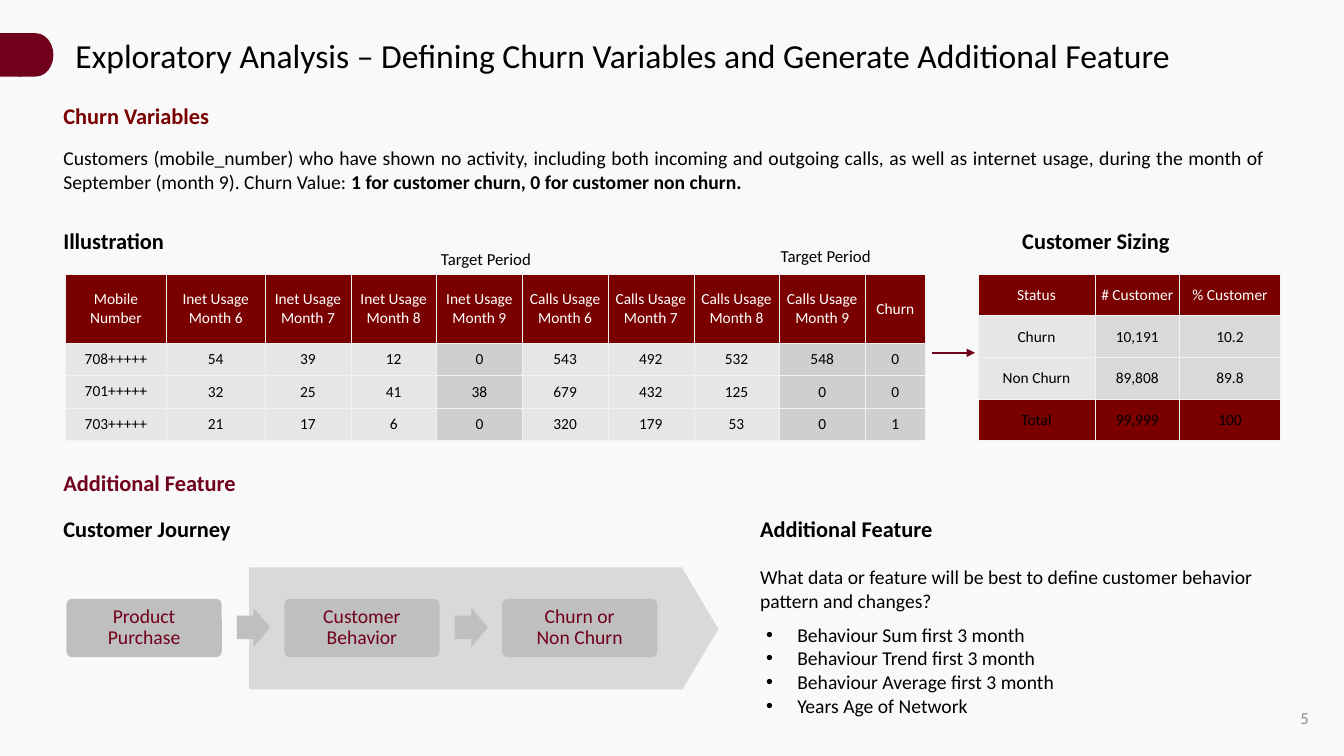
"""Build the churn variables and additional feature slide."""
from dataclasses import dataclass

from lxml import etree
from pptx import Presentation
from pptx.dml.color import RGBColor
from pptx.enum.shapes import MSO_CONNECTOR, MSO_SHAPE
from pptx.enum.text import MSO_ANCHOR, PP_ALIGN
from pptx.oxml import parse_xml
from pptx.oxml.ns import nsdecls, qn
from pptx.util import Inches, Pt

LEFT, CENTER, RIGHT, JUSTIFY = PP_ALIGN.LEFT, PP_ALIGN.CENTER, PP_ALIGN.RIGHT, PP_ALIGN.JUSTIFY
MIDDLE = MSO_ANCHOR.MIDDLE
RECTANGLE, ROUNDED, TRIANGLE = MSO_SHAPE.RECTANGLE, MSO_SHAPE.ROUNDED_RECTANGLE, MSO_SHAPE.ISOSCELES_TRIANGLE
DELAY, ARROW = MSO_SHAPE.FLOWCHART_DELAY, MSO_SHAPE.RIGHT_ARROW


@dataclass(frozen=True)
class Theme:
    font: str = "Calibri"
    background: str = "F9F9F9"
    black: str = "000000"
    white: str = "FFFFFF"
    maroon: str = "7A0000"
    wine: str = "71001C"
    cell: str = "E7E6E6"
    target: str = "D0CECE"
    panel: str = "D9D9D9"
    step: str = "BFBFBF"
    border: str = "F2F2F2"
    number: str = "8C8C8C"
    title_size: int = 24
    heading_size: int = 16
    body_size: int = 14
    label_size: int = 12
    table_size: int = 11


theme = Theme()
presentation = Presentation()
presentation.slide_width = Inches(13.33)
presentation.slide_height = Inches(7.5)
slide = presentation.slides.add_slide(presentation.slide_layouts[6])
slide.background.fill.solid()
slide.background.fill.fore_color.rgb = RGBColor.from_string(theme.background)


def write(text_frame, lines, size, color, align=LEFT, bold=False):
    """Fill a text frame with one paragraph for each line."""
    text_frame.word_wrap = True
    for index, line in enumerate(lines):
        paragraph = text_frame.add_paragraph() if index else text_frame.paragraphs[0]
        paragraph.text = line
        paragraph.alignment = align
        for run in paragraph.runs:
            run.font.name = theme.font
            run.font.size = Pt(size)
            run.font.bold = bold
            run.font.color.rgb = RGBColor.from_string(color)


def add_block(kind, box, color):
    """Add a plain filled shape."""
    shape = slide.shapes.add_shape(kind, *map(Inches, box))
    shape.shadow.inherit = False
    shape.fill.solid()
    shape.fill.fore_color.rgb = RGBColor.from_string(color)
    shape.line.fill.background()
    return shape


add_block(DELAY, (0.18, 0.33, 0.35, 0.43), theme.wine)
add_block(RECTANGLE, (0, 0.33, 0.21, 0.43), theme.wine)

headings = [
    ("Churn Variables", 0.53, 0.96, 3.44, theme.maroon),
    ("Illustration", 0.53, 2.2, 3.44, theme.black),
    ("Customer Sizing", 10.04, 2.2, 2.61, theme.black),
    ("Additional Feature", 0.53, 4.61, 3.44, theme.wine),
    ("Customer Journey", 0.53, 5.06, 3.44, theme.black),
    ("Additional Feature", 7.44, 5.06, 3.44, theme.black),
]
for text, left, top, width, color in headings:
    heading = slide.shapes.add_textbox(Inches(left), Inches(top), Inches(width), Inches(0.37))
    write(heading.text_frame, [text], theme.heading_size, color, bold=True)

texts = [
    ("Exploratory Analysis – Defining Churn Variables and Generate Additional Feature",
     (0.65, 0.3, 12.1, 0.5), theme.title_size, LEFT),
    ("What data or feature will be best to define customer behavior pattern and changes?",
     (7.44, 5.56, 5.33, 0.57), theme.body_size, LEFT),
    ("Target Period", (4.24, 2.42, 1.16, 0.3), theme.label_size, CENTER),
    ("Target Period", (7.61, 2.39, 1.16, 0.3), theme.label_size, CENTER),
]
for text, box, size, align in texts:
    text_box = slide.shapes.add_textbox(*map(Inches, box))
    write(text_box.text_frame, [text], size, theme.black, align)

definition = slide.shapes.add_textbox(Inches(0.53), Inches(1.4), Inches(12.12), Inches(0.57))
write(definition.text_frame, [
    "Customers (mobile_number) who have shown no activity, including both incoming and outgoing calls, "
    "as well as internet usage, during the month of September (month 9). Churn Value: "
], theme.body_size, theme.black, JUSTIFY)
churn_values = definition.text_frame.paragraphs[0].add_run()
churn_values.text = "1 for customer churn, 0 for customer non churn."
churn_values.font.name = theme.font
churn_values.font.size = Pt(theme.body_size)
churn_values.font.bold = True
churn_values.font.color.rgb = RGBColor.from_string(theme.black)

usage_rows = [
    ["Mobile Number"]
    + [f"{source} Usage\nMonth {month}" for source in ("Inet", "Calls") for month in range(6, 10)]
    + ["Churn"],
    ["708+++++", "54", "39", "12", "0", "543", "492", "532", "548", "0"],
    ["701+++++", "32", "25", "41", "38", "679", "432", "125", "0", "0"],
    ["703+++++", "21", "17", "6", "0", "320", "179", "53", "0", "1"],
]
sizing_rows = [
    ["Status", "# Customer", "% Customer"],
    ["Churn", "10,191", "10.2"],
    ["Non Churn", "89,808", "89.8"],
    ["Total", "99,999", "100"],
]
table_height = 1.65
tables = [
    (usage_rows, 0.65, [1, 0.98] + [0.85] * 7 + [0.6], 0.68, {4, 8, 9}, theme.target),
    (sizing_rows, 9.7, [1.16, 0.84, 1], 0.41, {1, 2}, theme.panel),
]
for rows, left, widths, header_height, shaded_columns, shade in tables:
    frame = slide.shapes.add_table(len(rows), len(widths), Inches(left), Inches(2.72),
                                   Inches(sum(widths)), Inches(table_height))
    table = frame.table
    table.first_row = False
    table.horz_banding = False
    for column, width in zip(table.columns, widths):
        column.width = Inches(width)
    for row_index, values in enumerate(rows):
        body_height = (table_height - header_height) / (len(rows) - 1)
        table.rows[row_index].height = Inches(body_height if row_index else header_height)
        for column_index, value in enumerate(values):
            cell = table.cell(row_index, column_index)
            cell.vertical_anchor = MIDDLE
            if rows is sizing_rows or column_index:
                cell.margin_left = cell.margin_right = cell.margin_top = Inches(0.01)
                cell.margin_bottom = 0
            write(cell.text_frame, [value], theme.table_size,
                  theme.black if row_index else theme.white, CENTER)
            properties = cell._tc.get_or_add_tcPr()
            for side in ("lnL", "lnR", "lnT", "lnB"):
                properties.append(parse_xml(
                    f'<a:{side} {nsdecls("a")} w="{Pt(0.25)}"><a:solidFill>'
                    f'<a:srgbClr val="{theme.border}"/></a:solidFill></a:{side}>'))
            if row_index == 0 or values[0] == "Total":
                fill_color = theme.maroon
            else:
                fill_color = shade if column_index in shaded_columns else theme.cell
            cell.fill.solid()
            cell.fill.fore_color.rgb = RGBColor.from_string(fill_color)

link = slide.shapes.add_connector(MSO_CONNECTOR.STRAIGHT, Inches(9.24), Inches(3.5), Inches(9.67), Inches(3.5))
link.line.color.rgb = RGBColor.from_string(theme.wine)
link.line.width = Pt(1.5)
etree.SubElement(link.line._get_or_add_ln(), qn("a:tailEnd"), type="triangle")
etree.SubElement(link._element.spPr, qn("a:effectLst"))

add_block(RECTANGLE, (2.47, 5.63, 4.3, 1.21), theme.panel)
add_block(TRIANGLE, (6.34, 6.06, 1.21, 0.36), theme.panel).rotation = 90
step_pitch = 2.16
for index, name in enumerate(["Product\nPurchase", "Customer\nBehavior", "Churn or\nNon Churn"]):
    step = add_block(ROUNDED, (0.66 + index * step_pitch, 5.94, 1.54, 0.58), theme.step)
    step.adjustments[0] = 0.1
    step.text_frame.vertical_anchor = MIDDLE
    write(step.text_frame, [name], theme.body_size, theme.wine, CENTER)
    step.text_frame.paragraphs[0].line_spacing = 0.9
    if index:
        arrow = add_block(ARROW, (0.19 + index * step_pitch, 6.03, 0.33, 0.39), theme.step)
        arrow.adjustments[0] = 0.6

features = slide.shapes.add_textbox(Inches(7.5), Inches(6.13), Inches(5.13), Inches(1.28))
write(features.text_frame, [
    "Behaviour Sum first 3 month",
    "Behaviour Trend first 3 month",
    "Behaviour Average first 3 month",
    "Years Age of Network",
], theme.body_size, theme.black, JUSTIFY)
for paragraph in features.text_frame.paragraphs:
    properties = paragraph._p.get_or_add_pPr()
    properties.set("marL", str(Inches(0.31)))
    properties.set("indent", str(-Inches(0.31)))
    etree.SubElement(properties, qn("a:buFont"), typeface="Arial")
    etree.SubElement(properties, qn("a:buChar"), char="•")

page_number = slide.shapes.add_textbox(Inches(10.83), Inches(6.92), Inches(2.25), Inches(0.4))
page_number.text_frame.vertical_anchor = MIDDLE
write(page_number.text_frame, ["5"], theme.label_size, theme.number, RIGHT)

presentation.save("out.pptx")
